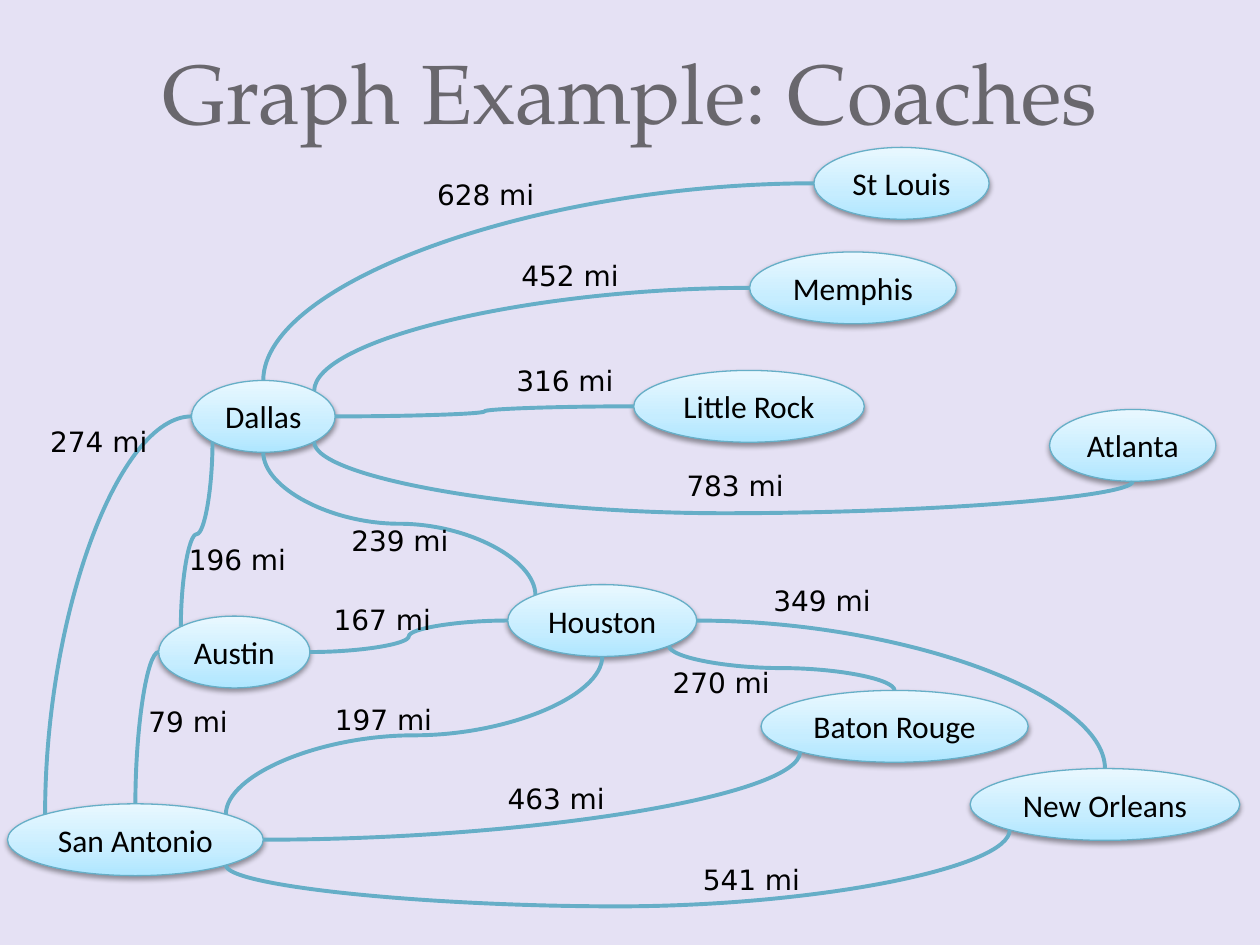
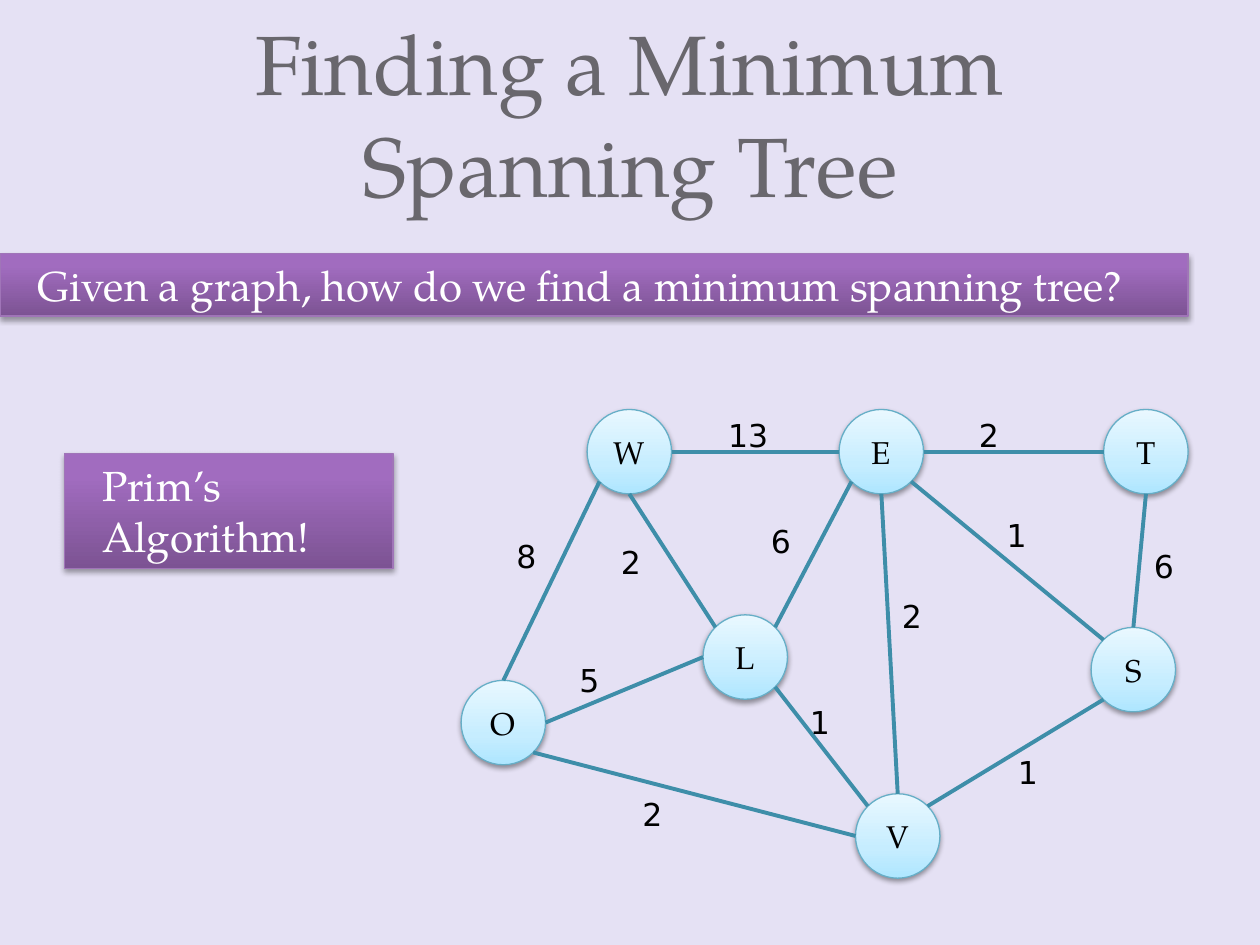
from dataclasses import dataclass
from math import sqrt
from typing import NamedTuple

from lxml.etree import SubElement
from pptx import Presentation
from pptx.dml.color import RGBColor
from pptx.enum.shapes import MSO_CONNECTOR, MSO_SHAPE
from pptx.enum.text import MSO_ANCHOR, PP_ALIGN
from pptx.oxml.ns import qn
from pptx.util import Inches, Pt

COLS, ROWS = 100, 75
WIDE, HIGH = Inches(10), Inches(7.5)
SERIF, SANS, PLAIN = "TeX Gyre Pagella", "Calibri", "DejaVu Sans"
BACK, GRAY, BLACK, WHITE = "E5E1F4", "69676D", "000000", "FFFFFF"
AQUA, TEAL = "66AEC7", "3E8EA9"
DIAG = sqrt(0.5)
SITES = {
    "N": (0, -1), "NE": (DIAG, -DIAG), "E": (1, 0), "SE": (DIAG, DIAG),
    "S": (0, 1), "SW": (-DIAG, DIAG), "W": (-1, 0), "NW": (-DIAG, -DIAG),
}


@dataclass(frozen=True)
class Font:
    name: str
    size: int
    tint: str


@dataclass(frozen=True)
class Skin:
    stops: tuple
    line: str
    alpha: int
    drop: float


class Box(NamedTuple):
    left: float
    top: float
    width: float
    height: float

    def site(self, name: str) -> tuple:
        dx, dy = SITES[name]
        return (self.left + self.width * (1 + dx) / 2,
                self.top + self.height * (1 + dy) / 2)


class Edge(NamedTuple):
    start: str
    leave: str
    end: str
    enter: str
    text: str
    left: float
    top: float
    bend: float = 0.5


@dataclass(frozen=True)
class Graph:
    nodes: dict
    edges: list
    font: Font
    label: Font
    span: tuple
    line: str
    curved: bool


ICE = Skin(((0, "AEE6FF"), (35, "C6EDFF"), (100, "E9F8FF")), AQUA, 38, 1.6)
PLUM = Skin(((0, "7C5393"), (80, "A16CBF"), (100, "A26BC1")), "A075B8", 35, 1.8)
TITLE = Font(SERIF, 48, GRAY)
NOTE = Font(SERIF, 24, WHITE)

CITY, DISC = 5.7, 6.7
ROUTES = Graph(
    {
        "Dallas": Box(15.2, 30.2, 11.4, CITY),
        "San Antonio": Box(0.6, 63.8, 20.3, CITY),
        "Austin": Box(12.6, 48.9, 12, CITY),
        "Houston": Box(40.3, 46.4, 15, CITY),
        "Little Rock": Box(50.3, 29.4, 18.3, CITY),
        "Baton Rouge": Box(60.4, 54.8, 21.2, CITY),
        "New Orleans": Box(77, 61, 21.4, CITY),
        "St Louis": Box(64.6, 11.7, 13.9, CITY),
        "Memphis": Box(59.5, 20, 16.4, CITY),
        "Atlanta": Box(83.3, 32.5, 13.2, CITY),
    },
    [
        Edge("Austin", "NW", "Dallas", "SW", "196 mi", 14, 42.6),
        Edge("San Antonio", "N", "Austin", "W", "79 mi", 10.8, 55.4),
        Edge("Houston", "E", "New Orleans", "N", "349 mi", 60.4, 45.8),
        Edge("Houston", "SE", "Baton Rouge", "N", "270 mi", 52.4, 52.3),
        Edge("Houston", "S", "San Antonio", "NE", "197 mi", 25.6, 55.3),
        Edge("Dallas", "S", "Houston", "NW", "239 mi", 26.9, 41.1),
        Edge("San Antonio", "NW", "Dallas", "W", "274 mi", 3, 33.2),
        Edge("San Antonio", "SE", "New Orleans", "SW", "541 mi", 54.8, 68, -1.17),
        Edge("San Antonio", "E", "Baton Rouge", "SW", "463 mi", 39.3, 61.5),
        Edge("Dallas", "E", "Little Rock", "W", "316 mi", 40, 28.4),
        Edge("Dallas", "SE", "Atlanta", "S", "783 mi", 53.5, 36.7, 1.81),
        Edge("Dallas", "N", "St Louis", "W", "628 mi", 33.7, 13.6),
        Edge("Dallas", "NE", "Memphis", "W", "452 mi", 40.4, 20),
        Edge("Austin", "E", "Houston", "W", "167 mi", 25.5, 47.3),
    ],
    Font(SANS, 18, BLACK), Font(PLAIN, 16, BLACK), (11.1, 3.7), AQUA, True)

SPOTS = {
    "W": (46.6, 32.5), "E": (66.6, 32.5), "T": (87.6, 32.5), "L": (55.8, 48.8),
    "S": (86.6, 49.8), "O": (36.6, 54), "V": (67.9, 63),
}
TREE = Graph(
    {name: Box(*spot, DISC, DISC) for name, spot in SPOTS.items()},
    [
        Edge("W", "E", "E", "W", "13", 56.8, 32.5),
        Edge("E", "E", "T", "W", "2", 76.7, 32.5),
        Edge("W", "SW", "O", "N", "8", 40, 42.1),
        Edge("W", "S", "L", "NW", "2", 48.3, 42.6),
        Edge("L", "NE", "E", "SW", "6", 60.2, 40.9),
        Edge("S", "NW", "E", "SE", "1", 78.9, 40.5),
        Edge("T", "S", "S", "N", "6", 90.6, 42.9),
        Edge("V", "N", "E", "S", "2", 70.6, 46.9),
        Edge("O", "E", "L", "W", "5", 45, 52),
        Edge("V", "NW", "L", "SE", "1", 63.3, 55.3),
        Edge("S", "SW", "V", "NE", "1", 79.8, 59.3),
        Edge("O", "SE", "V", "W", "2", 50, 62.6),
    ],
    Font(SERIF, 18, BLACK), Font(PLAIN, 18, BLACK), (7.7, 4), TEAL, False)


def hue(code: str) -> RGBColor:
    return RGBColor.from_string(code)


def col(count: float) -> int:
    return round(WIDE * count / COLS)


def row(count: float) -> int:
    return round(HIGH * count / ROWS)


def area(box: Box) -> tuple:
    return col(box.left), row(box.top), col(box.width), row(box.height)


def write(frame, text: str, font: Font, align=PP_ALIGN.LEFT):
    para = frame.paragraphs[0]
    para.alignment = align
    run = para.add_run()
    run.text = text
    run.font.name = font.name
    run.font.size = Pt(font.size)
    run.font.color.rgb = hue(font.tint)
    return para


def head(slide, text: str, box: Box) -> None:
    title = slide.shapes.title
    title.left, title.top, title.width, title.height = area(box)
    title.text_frame.vertical_anchor = MSO_ANCHOR.BOTTOM
    title.text_frame.word_wrap = True
    para = write(title.text_frame, text, TITLE, PP_ALIGN.CENTER)
    para.line_spacing = Pt(58)


def tint(parent, code: str):
    return SubElement(parent, qn("a:srgbClr"), val=code)


def paint(shape, skin: Skin) -> None:
    shape.fill.gradient()
    shape.fill.gradient_angle = 90
    props = shape._element.spPr
    stops = props.find(qn("a:gradFill")).find(qn("a:gsLst"))
    for stop in list(stops):
        stops.remove(stop)
    for place, code in skin.stops:
        tint(SubElement(stops, qn("a:gs"), pos=str(place * 1000)), code)
    shape.line.color.rgb = hue(skin.line)
    shape.line.width = Pt(0.75)
    shape.shadow.inherit = False
    shade = SubElement(
        props.find(qn("a:effectLst")), qn("a:outerShdw"),
        blurRad=str(Pt(3.1)), dist=str(Pt(skin.drop)), dir="5400000", rotWithShape="0")
    SubElement(tint(shade, BLACK), qn("a:alpha"), val=str(skin.alpha * 1000))


def knot(slide, name: str, box: Box, font: Font, wrap: bool) -> None:
    shape = slide.shapes.add_shape(MSO_SHAPE.OVAL, *area(box))
    paint(shape, ICE)
    shape.text_frame.word_wrap = wrap
    shape.text_frame.vertical_anchor = MSO_ANCHOR.MIDDLE
    write(shape.text_frame, name, font, PP_ALIGN.CENTER)


def band(slide, text: str, box: Box) -> None:
    shape = slide.shapes.add_shape(MSO_SHAPE.RECTANGLE, *area(box))
    paint(shape, PLUM)
    frame = shape.text_frame
    frame.word_wrap = True
    frame.margin_left = col(3)
    frame.vertical_anchor = MSO_ANCHOR.TOP
    write(frame, text, NOTE)


def turn(line, down: bool, right: bool) -> None:
    mid, core = line.left + line.width // 2, line.top + line.height // 2
    line.width, line.height = line.height, line.width
    line.left, line.top = mid - line.width // 2, core - line.height // 2
    cross = down == right
    frame = line._element.spPr.find(qn("a:xfrm"))
    frame.set("rot", "16200000" if cross else "5400000")
    frame.set("flipH", str(int(right)))
    frame.set("flipV", str(int(not down)))


def curve(line, edge: Edge, first: tuple, last: tuple) -> None:
    flat = edge.leave in "EW"
    both = flat == (edge.enter in "EW")
    shape = line._element.spPr.find(qn("a:prstGeom"))
    shape.set("prst", "curvedConnector3" if both else "curvedConnector2")
    if both:
        SubElement(shape.find(qn("a:avLst")), qn("a:gd"),
                   name="adj1", fmla=f"val {round(edge.bend * 100000)}")
    if not flat:
        turn(line, last[1] > first[1], last[0] > first[0])


def link(slide, graph: Graph, edge: Edge) -> None:
    first = graph.nodes[edge.start].site(edge.leave)
    last = graph.nodes[edge.end].site(edge.enter)
    kind = MSO_CONNECTOR.CURVE if graph.curved else MSO_CONNECTOR.STRAIGHT
    line = slide.shapes.add_connector(
        kind, col(first[0]), row(first[1]), col(last[0]), row(last[1]))
    line.line.color.rgb = hue(graph.line)
    line.line.width = Pt(2.25)
    SubElement(line._element.spPr, qn("a:effectLst"))
    if graph.curved:
        curve(line, edge, first, last)


def draw(slide, graph: Graph) -> None:
    for name, box in graph.nodes.items():
        knot(slide, name, box, graph.font, not graph.curved)
    for edge in graph.edges:
        link(slide, graph, edge)
    for edge in graph.edges:
        label = slide.shapes.add_textbox(*area(Box(edge.left, edge.top, *graph.span)))
        label.text_frame.word_wrap = True
        write(label.text_frame, edge.text, graph.label)


def main() -> None:
    deck = Presentation()
    deck.slide_width, deck.slide_height = WIDE, HIGH
    fill = deck.slide_master.background.fill
    fill.solid()
    fill.fore_color.rgb = hue(BACK)
    layout = deck.slide_layouts[5]

    slide = deck.slides.add_slide(layout)
    head(slide, "Graph Example: Coaches", Box(0, -5.8, 100, 17.5))
    draw(slide, ROUTES)

    slide = deck.slides.add_slide(layout)
    head(slide, "Finding a Minimum Spanning Tree", Box(5, 0, 90, 17.5))
    band(slide, "Given a graph, how do we find a minimum spanning tree?",
         Box(0, 20.1, 94.3, 5))
    draw(slide, TREE)
    band(slide, "Prim’s Algorithm!", Box(5.1, 36, 26.1, 9.1))
    deck.save("out.pptx")


if __name__ == "__main__":
    main()
